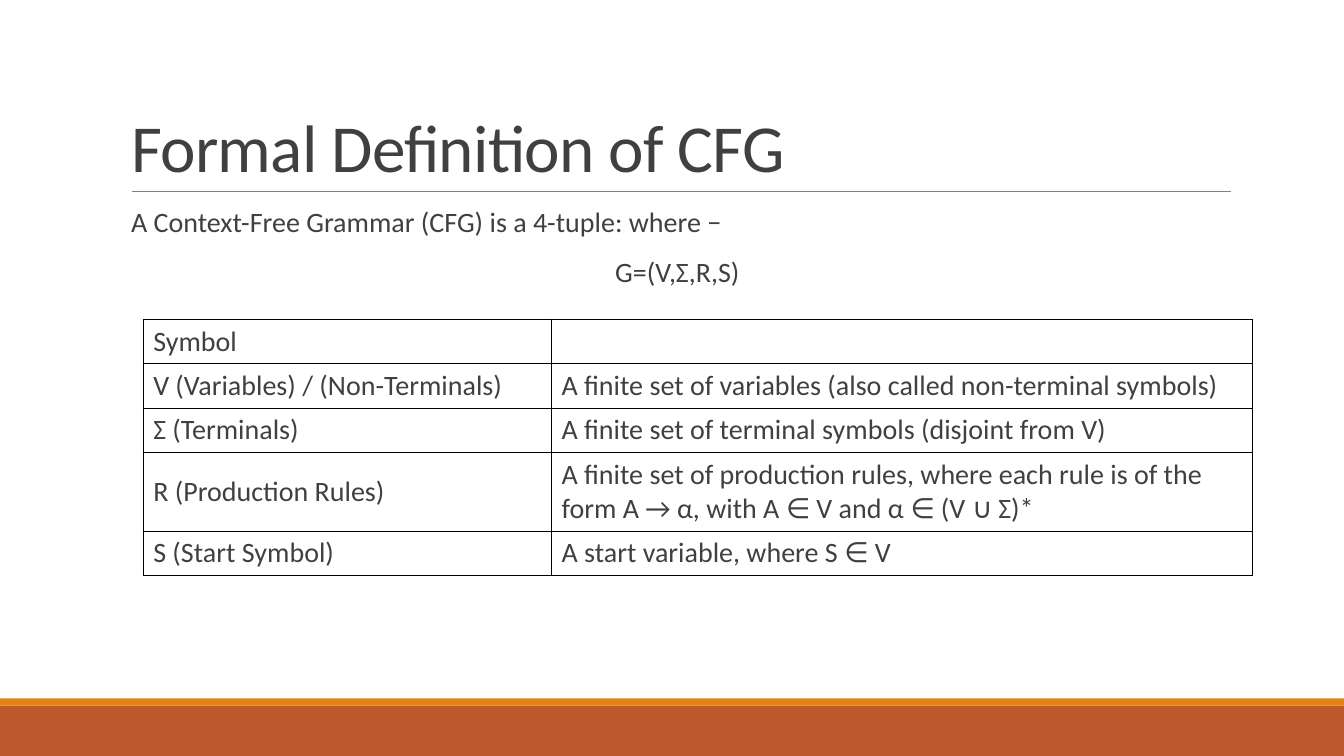
from lxml.etree import SubElement
from pptx import Presentation
from pptx.dml.color import RGBColor
from pptx.enum.shapes import MSO_CONNECTOR, MSO_SHAPE
from pptx.enum.text import MSO_ANCHOR, PP_ALIGN
from pptx.oxml.ns import qn
from pptx.util import Inches, Pt

# Content
TITLE = "Formal Definition of CFG"
INTRO = [
    ("A Context-Free Grammar (CFG) is a 4-tuple: where −", PP_ALIGN.LEFT),
    ("G=(V,Σ,R,S) ", PP_ALIGN.CENTER),
]
SYMBOLS = [
    ("Symbol", ""),
    ("V (Variables) / (Non-Terminals)",
     "A finite set of variables (also called non-terminal symbols)"),
    ("Σ (Terminals)", "A finite set of terminal symbols (disjoint from V)"),
    ("R (Production Rules)",
     "A finite set of production rules, where each rule is of the form "
     "A → α, with A ∈ V and α ∈ (V ∪ Σ)*"),
    ("S (Start Symbol)", "A start variable, where S ∈ V"),
]
COLUMN_WIDTHS = [4.05, 6.95]
ROW_HEIGHTS = [0.44, 0.44, 0.44, 0.78, 0.44]
FOOTER_BANDS = [(7, 0.5, "BD582C"), (6.93, 0.07, "E48312")]  # top, height, colour
SLIDE_WIDTH = 13.33
LEFT, WIDTH = 1.2, 11
FONT, INK, ACCENT, RULE, BORDER = "Calibri", "404040", "E48312", "808080", "000000"


def colour(value):
    return RGBColor.from_string(value)


def add_text(paragraph, text, size=20):
    run = paragraph.add_run()
    run.text = text
    run.font.name, run.font.size = FONT, Pt(size)
    run.font.color.rgb = colour(INK)
    return run


def add_blank_bullet(paragraph):
    properties = paragraph._p.get_or_add_pPr()
    properties.set("marL", str(Inches(0.1)))
    properties.set("indent", str(Inches(-0.1)))
    bullet_colour = SubElement(properties, qn("a:buClr"))
    SubElement(bullet_colour, qn("a:srgbClr"), val=ACCENT)
    SubElement(properties, qn("a:buFont"), typeface=FONT)
    SubElement(properties, qn("a:buChar"), char=" ")


def add_borders(cell):
    properties = cell._tc.get_or_add_tcPr()
    for side in ("lnL", "lnR", "lnT", "lnB"):
        border = SubElement(properties, qn(f"a:{side}"), w=str(Pt(1)))
        SubElement(SubElement(border, qn("a:solidFill")), qn("a:srgbClr"), val=BORDER)


prs = Presentation()
prs.slide_width, prs.slide_height = Inches(SLIDE_WIDTH), Inches(7.5)
slide = prs.slides.add_slide(prs.slide_layouts[5])
shapes = slide.shapes

# Footer bands
for top, height, band_colour in FOOTER_BANDS:
    band = shapes.add_shape(MSO_SHAPE.RECTANGLE, 0, Inches(top),
                            Inches(SLIDE_WIDTH), Inches(height))
    band.shadow.inherit = False
    band.fill.solid()
    band.fill.fore_color.rgb = colour(band_colour)
    band.line.fill.background()

# Rule under the title
rule = shapes.add_connector(MSO_CONNECTOR.STRAIGHT, Inches(1.31), Inches(1.9),
                            Inches(12.21), Inches(1.9))
rule.line.color.rgb = colour(RULE)
rule.line.width = Pt(0.5)
SubElement(rule._element.spPr, qn("a:effectLst"))

# Title
title = shapes.title
title.left, title.top = Inches(LEFT), Inches(0.31)
title.width, title.height = Inches(WIDTH), Inches(1.59)
title.text_frame.vertical_anchor = MSO_ANCHOR.BOTTOM
heading = title.text_frame.paragraphs[0]
heading.alignment = PP_ALIGN.LEFT
heading.line_spacing = 0.85
title_run = add_text(heading, TITLE, 48)
title_run.font._element.set("spc", "-50")

# Introduction
intro = shapes.add_textbox(Inches(LEFT), Inches(2.02), Inches(WIDTH), Inches(4.4)).text_frame
intro.word_wrap = True
intro.margin_left = intro.margin_right = 0
for index, (sentence, alignment) in enumerate(INTRO):
    paragraph = intro.add_paragraph() if index else intro.paragraphs[0]
    paragraph.alignment = alignment
    paragraph.line_spacing = 0.9
    paragraph.space_before, paragraph.space_after = Pt(12), Pt(2)
    add_blank_bullet(paragraph)
    add_text(paragraph, sentence)

# Symbol table
symbols = shapes.add_table(len(SYMBOLS), len(COLUMN_WIDTHS), Inches(1.42), Inches(3.17),
                           Inches(WIDTH), Inches(sum(ROW_HEIGHTS))).table
symbols.first_row = symbols.horz_banding = False
for column, width in zip(symbols.columns, COLUMN_WIDTHS):
    column.width = Inches(width)
for row, height, entries in zip(symbols.rows, ROW_HEIGHTS, SYMBOLS):
    row.height = Inches(height)
    for cell, entry in zip(row.cells, entries):
        cell.vertical_anchor = MSO_ANCHOR.MIDDLE
        add_borders(cell)
        cell.fill.background()
        if entry:
            add_text(cell.text_frame.paragraphs[0], entry)

prs.save("out.pptx")
